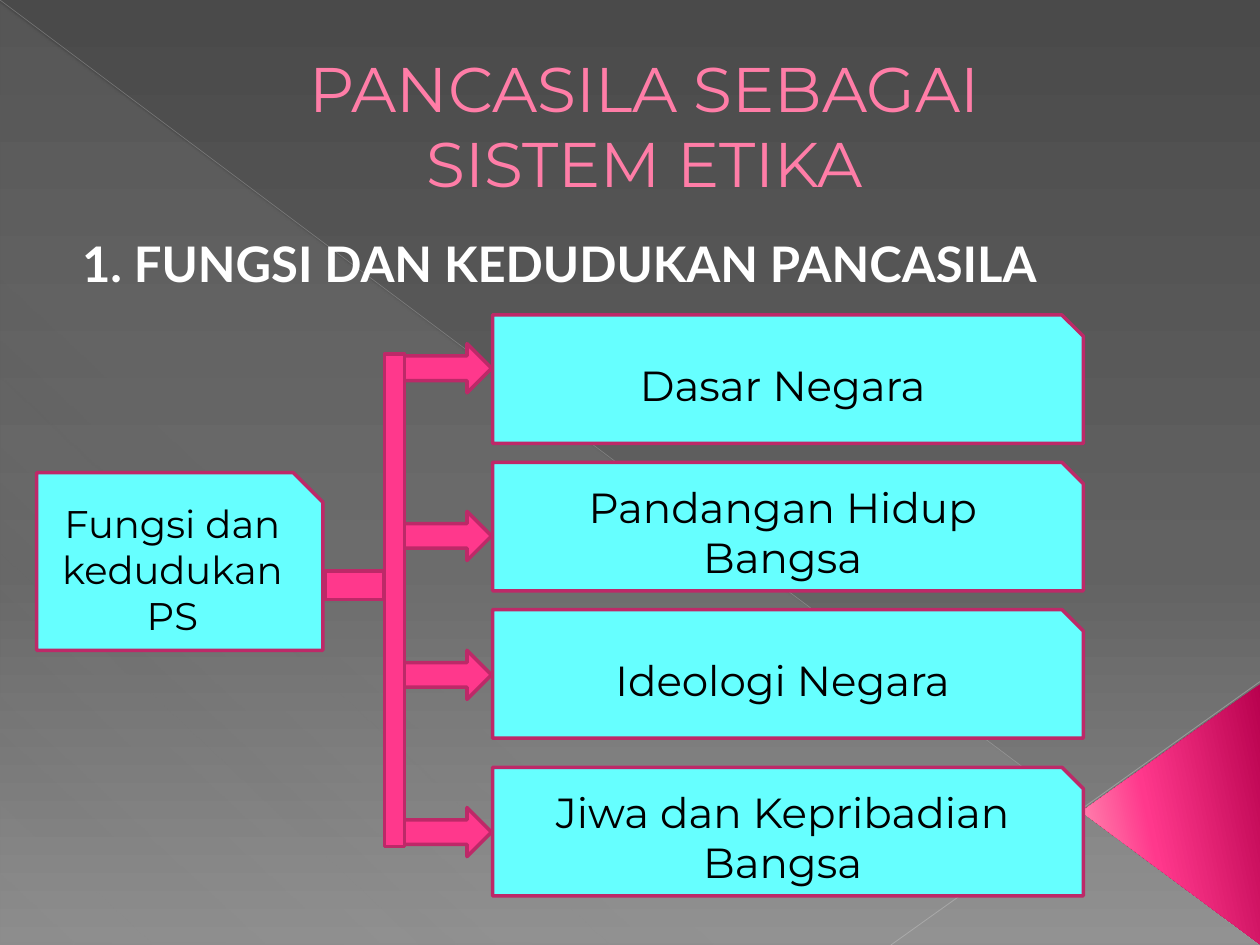
from lxml import etree
from pptx import Presentation
from pptx import util as u
from pptx.dml import color
from pptx.enum import shapes, text
from pptx.oxml import ns

COLORS = {
    "pink": "FF388C", "border": "BD2968", "cyan": "66FFFF", "title": "FF7DA7",
    "white": "FFFFFF", "black": "000000", "veil": "D2D2D2",
    "diagonal": "BFBFBF", "corner": "C6C6C6",
}
BACKDROP = [(0, "4A4A4A", 100), (60, "626262", 100), (100, "8C8C8C", 100)]
VEIL = [(0, COLORS["veil"], 10), (70, COLORS["veil"], 8), (100, COLORS["veil"], 1)]
WEDGE = [(0, "B8014E", 100), (60, COLORS["pink"], 100), (100, "FF9CB9", 100)]
BRANCHES = [
    ("Dasar Negara", 0, 0.58),
    ("Pandangan Hidup Bangsa", 2.97, 3.96),
    ("Ideologi Negara", 5.94, 6.76),
    ("Jiwa dan Kepribadian Bangsa", 9.12, 9.93),
]
SHAPE = shapes.MSO_SHAPE


def rgb(name):
    return color.RGBColor.from_string(COLORS[name])


def set_alpha(color_element, percent):
    alpha = etree.SubElement(color_element, ns.qn("a:alpha"))
    alpha.set("val", str(percent * 1000))


def set_gradient(fill, owner, stops, angle):
    fill.gradient()
    gradient = next(owner.iter(ns.qn("a:gradFill")))
    gradient.set("rotWithShape", "1")
    stop_list = gradient.find(ns.qn("a:gsLst"))
    for old in list(stop_list):
        stop_list.remove(old)
    for position, value, opacity in stops:
        stop = etree.SubElement(stop_list, ns.qn("a:gs"), pos=str(position * 1000))
        tone = etree.SubElement(stop, ns.qn("a:srgbClr"), val=value)
        if opacity < 100:
            set_alpha(tone, opacity)
    direction = gradient.find(ns.qn("a:lin"))
    direction.set("ang", str(angle * 60000))
    direction.set("scaled", "0")


def add_block(page, kind, box, fill=None):
    block = page.shapes.add_shape(kind, *map(u.Cm, box))
    block.shadow.inherit = False
    if fill:
        block.fill.solid()
        block.fill.fore_color.rgb = rgb(fill)
        block.line.color.rgb = rgb("border")
        block.line.width = u.Pt(2)
    else:
        block.line.fill.background()
    return block


def add_hairline(page, ends, tone, width, opacity):
    line = page.shapes.add_connector(shapes.MSO_CONNECTOR.STRAIGHT, *map(u.Cm, ends))
    line.line.color.rgb = rgb(tone)
    line.line.width = u.Pt(width)
    set_alpha(next(line._element.spPr.iter(ns.qn("a:srgbClr"))), opacity)
    etree.SubElement(line._element.spPr, ns.qn("a:effectLst"))


def write(shape, words, font, size, tone, align, anchor, bold=False):
    frame = shape.text_frame
    frame.text = words
    frame.word_wrap = True
    frame.auto_size = text.MSO_AUTO_SIZE.NONE
    frame.vertical_anchor = anchor
    for para in frame.paragraphs:
        para.alignment = align
        for span in para.runs:
            span.font.name = font
            span.font.size = u.Pt(size)
            span.font.bold = bold
            span.font.color.rgb = rgb(tone)


def draw_backdrop(page, box):
    left, top, width, height = box
    set_gradient(page.background.fill, page._element, BACKDROP, 90)
    veil = add_block(page, SHAPE.RIGHT_TRIANGLE, (left, top + 0.05, width, height - 0.05))
    set_gradient(veil.fill, veil._element, VEIL, 133)
    right, bottom = left + width, top + height
    add_hairline(page, (left, top, right, bottom), "diagonal", 0.39, 35)
    add_hairline(page, (right, bottom - 5.31, right - 7.44, bottom), "corner", 0.47, 45)
    wedge = add_block(page, SHAPE.ISOSCELES_TRIANGLE,
                      (right - 4.42, bottom - 4.44, 5.26, 3.61))
    wedge.adjustments[0] = 0.51
    wedge.rotation = 270
    set_gradient(wedge.fill, wedge._element, WEDGE, 258)


def place_placeholder(page, shape, box):
    shape.left, shape.top, shape.width, shape.height = map(u.Cm, box)
    page.shapes._spTree.append(shape._element)


def draw_headings(page, box):
    left, top, width, height = box
    title, subtitle = page.shapes.title, page.placeholders[1]
    place_placeholder(page, title, (left, top, width, 2.77))
    write(title, "PANCASILA SEBAGAI \vSISTEM ETIKA ", "Montserrat", 36, "title",
          text.PP_ALIGN.CENTER, text.MSO_ANCHOR.BOTTOM)
    properties = title.text_frame.paragraphs[0]._p.get_or_add_pPr()
    properties.set("marL", str(u.Cm(1.35)))
    properties.set("indent", "0")
    place_placeholder(page, subtitle, (left + 0.61, top + height - 1.5, 22.4, 1.5))
    write(subtitle, "1. FUNGSI DAN KEDUDUKAN PANCASILA", "Lato", 28, "white",
          text.PP_ALIGN.LEFT, text.MSO_ANCHOR.TOP, bold=True)


def draw_card(page, box, words, size):
    card = add_block(page, SHAPE.SNIP_1_RECTANGLE, box, "cyan")
    write(card, words, "Montserrat", size, "black",
          text.PP_ALIGN.CENTER, text.MSO_ANCHOR.MIDDLE)


def draw_diagram(page, box):
    left, top, width, height = box
    draw_card(page, (left, top + 3.18, 5.77, 3.58), "Fungsi dan kedudukan PS", 22)
    for words, card_top, arrow_top in BRANCHES:
        draw_card(page, (left + width - 11.91, top + card_top, 11.91, 2.59), words, 24)
        add_block(page, SHAPE.RIGHT_ARROW,
                  (left + 7.39, top + arrow_top, 1.78, 0.99), "pink")
    add_block(page, SHAPE.RECTANGLE, (left + 7.01, top + 0.79, 0.41, 9.93), "pink")
    add_block(page, SHAPE.RECTANGLE, (left + 5.81, top + 5.16, 1.19, 0.58), "pink")


def main():
    deck = Presentation()
    deck.slide_width, deck.slide_height = u.Cm(25.4), u.Cm(19.05)
    page = deck.slides.add_slide(deck.slide_layouts[0])
    draw_backdrop(page, (0, 0, 25.4, 19.05))
    draw_headings(page, (0.79, 1.4, 23.39, 4.67))
    draw_diagram(page, (0.74, 6.35, 21.1, 11.71))
    deck.save("out.pptx")


if __name__ == "__main__":
    main()
